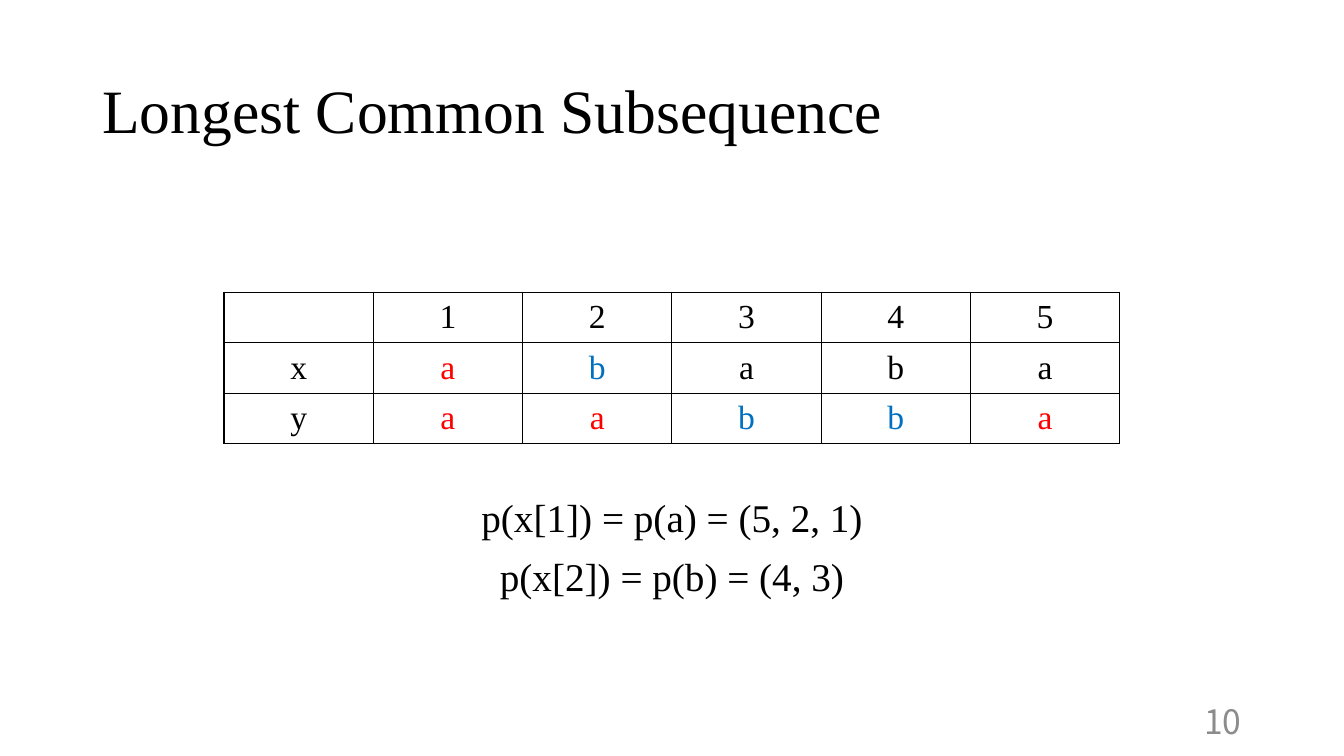
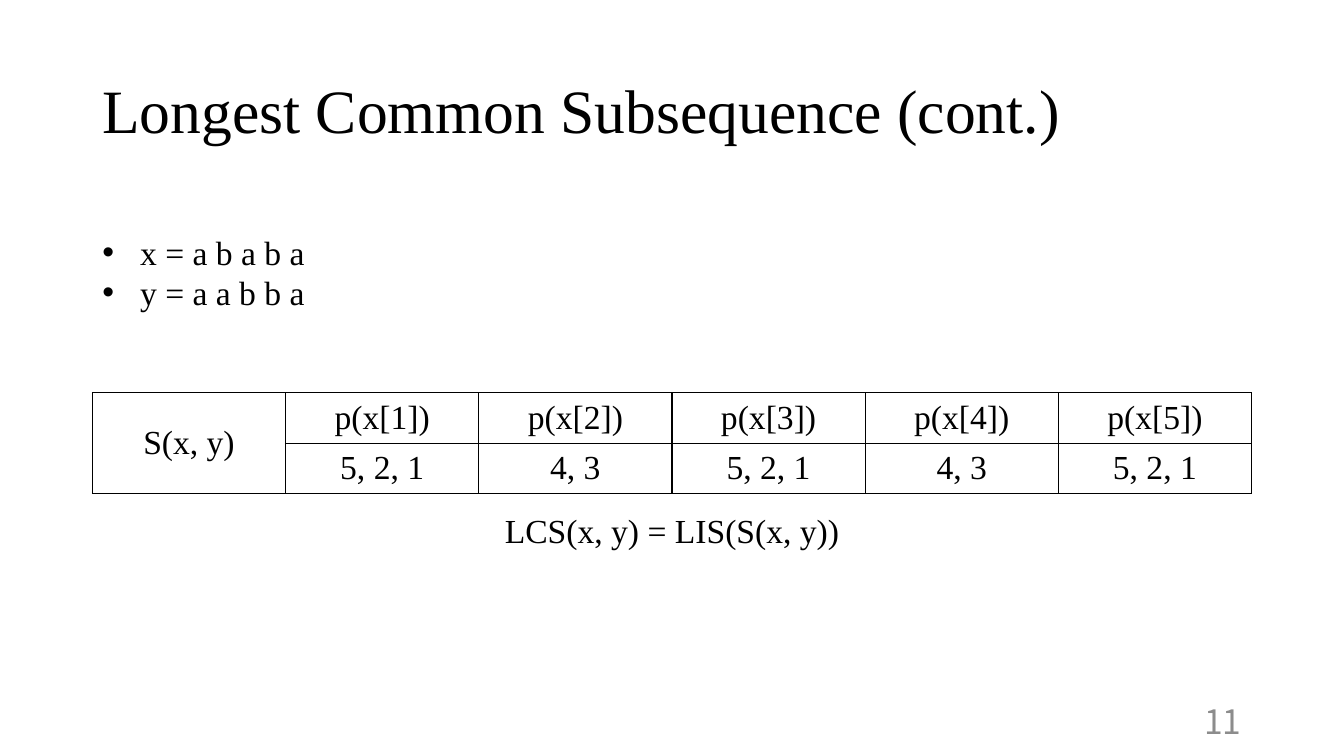
"""Build two slides on the longest common subsequence."""
from dataclasses import dataclass, field

import lxml.etree
import pptx
import pptx.dml.color
import pptx.enum.text
import pptx.oxml.ns
import pptx.slide
import pptx.table
import pptx.text.text
import pptx.util

SERIF = "Times New Roman"
SANS = "Noto Sans CJK JP"
BLACK, GREY, RED, BLUE = "000000", "8C8C8C", "FF0000", "0070C0"
MARGIN, CONTENT_WIDTH = 66, 828
ROW_HEIGHT = 33.8
CENTER = pptx.enum.text.PP_ALIGN.CENTER
LEFT = pptx.enum.text.PP_ALIGN.LEFT
RIGHT = pptx.enum.text.PP_ALIGN.RIGHT
MIDDLE = pptx.enum.text.MSO_ANCHOR.MIDDLE
TOP = pptx.enum.text.MSO_ANCHOR.TOP


@dataclass(frozen=True)
class Box:
    left: float
    top: float
    width: float
    height: float

    def lengths(self) -> list[pptx.util.Length]:
        return [pptx.util.Pt(value) for value in (self.left, self.top, self.width, self.height)]


@dataclass(frozen=True)
class Grid:
    left: float
    top: float
    width: float
    rows: list[list[str]]
    colors: dict[tuple[int, int], str] = field(default_factory=dict)


TITLE = Box(MARGIN, 28.75, CONTENT_WIDTH, 104.4)
NUMBER = Box(678, 500.5, 216, 28.75)


def color(value: str) -> pptx.dml.color.RGBColor:
    return pptx.dml.color.RGBColor.from_string(value)


def add_bullet(paragraph: pptx.text.text._Paragraph, indent: float) -> None:
    properties = paragraph._p.get_or_add_pPr()
    properties.set("marL", str(pptx.util.Pt(indent)))
    properties.set("indent", str(-pptx.util.Pt(indent)))
    font = lxml.etree.SubElement(properties, pptx.oxml.ns.qn("a:buFont"))
    font.set("typeface", "Arial")
    bullet = lxml.etree.SubElement(properties, pptx.oxml.ns.qn("a:buChar"))
    bullet.set("char", "•")


def write_text(frame: pptx.text.text.TextFrame, text: str, *, size: float = 24,
               font: str = SERIF, fill: str = BLACK,
               align: pptx.enum.text.PP_ALIGN = CENTER, line_spacing: float = 1.0,
               space_before: float = 0, bullet_indent: float = 0) -> None:
    for index, line in enumerate(text.split("\n")):
        paragraph = frame.add_paragraph() if index else frame.paragraphs[0]
        paragraph.alignment = align
        paragraph.line_spacing = line_spacing
        if index:
            paragraph.space_before = pptx.util.Pt(space_before)
        if bullet_indent:
            add_bullet(paragraph, bullet_indent)
        run = paragraph.add_run()
        run.text = line
        run.font.name = font
        run.font.size = pptx.util.Pt(size)
        run.font.color.rgb = color(fill)


def add_text(slide: pptx.slide.Slide, box: Box, text: str, *,
             anchor: pptx.enum.text.MSO_ANCHOR = TOP, **text_format) -> None:
    frame = slide.shapes.add_textbox(*box.lengths()).text_frame
    frame.word_wrap = True
    frame.vertical_anchor = anchor
    write_text(frame, text, **text_format)


def add_borders(cell: pptx.table._Cell) -> None:
    properties = cell._tc.get_or_add_tcPr()
    for position, side in enumerate(("lnL", "lnR", "lnT", "lnB")):
        line = lxml.etree.Element(pptx.oxml.ns.qn(f"a:{side}"), w=str(pptx.util.Pt(1)))
        fill = lxml.etree.SubElement(line, pptx.oxml.ns.qn("a:solidFill"))
        lxml.etree.SubElement(fill, pptx.oxml.ns.qn("a:srgbClr"), val=BLACK)
        properties.insert(position, line)


def add_grid(slide: pptx.slide.Slide, grid: Grid) -> pptx.table.Table:
    row_count, column_count = len(grid.rows), len(grid.rows[0])
    box = Box(grid.left, grid.top, grid.width, row_count * ROW_HEIGHT)
    table = slide.shapes.add_table(row_count, column_count, *box.lengths()).table
    table.first_row = table.horz_banding = False
    for column in table.columns:
        column.width = pptx.util.Pt(grid.width / column_count)
    for row_index, row in enumerate(grid.rows):
        for column_index, text in enumerate(row):
            cell = table.cell(row_index, column_index)
            cell.fill.background()
            cell.vertical_anchor = MIDDLE
            add_borders(cell)
            if text:
                fill = grid.colors.get((row_index, column_index), BLACK)
                write_text(cell.text_frame, text, fill=fill)
    return table


def add_slide(presentation: pptx.presentation.Presentation, title: str,
              number: int) -> pptx.slide.Slide:
    slide = presentation.slides.add_slide(presentation.slide_layouts[6])
    add_text(slide, TITLE, title, anchor=MIDDLE, size=44, align=LEFT, line_spacing=0.9)
    add_text(slide, NUMBER, str(number), anchor=MIDDLE, font=SANS, fill=GREY, align=RIGHT)
    return slide


def build_positions(presentation: pptx.presentation.Presentation) -> None:
    slide = add_slide(presentation, "Longest Common Subsequence", 10)
    add_grid(slide, Grid(
        160, 208.8, 640,
        [["", *"12345"], ["x", *"ababa"], ["y", *"aabba"]],
        {(1, 1): RED, (1, 2): BLUE, (2, 1): RED, (2, 2): RED,
         (2, 3): BLUE, (2, 4): BLUE, (2, 5): RED},
    ))
    add_text(slide, Box(MARGIN, 352.4, CONTENT_WIDTH, 80),
             "p(x[1]) = p(a) = (5, 2, 1)\np(x[2]) = p(b) = (4, 3)",
             size=28, line_spacing=0.9, space_before=12)


def build_sequence(presentation: pptx.presentation.Presentation) -> None:
    slide = add_slide(presentation, "Longest Common Subsequence (cont.)", 11)
    positions = {"a": "5, 2, 1", "b": "4, 3"}
    table = add_grid(slide, Grid(
        MARGIN, 280.5, CONTENT_WIDTH,
        [["S(x, y)", *(f"p(x[{index}])" for index in range(1, 6))],
         ["", *(positions[letter] for letter in "ababa")]],
    ))
    table.cell(0, 0).merge(table.cell(1, 0))
    add_text(slide, Box(328.5, 361, 303, 36), "LCS(x, y) = LIS(S(x, y))")
    add_text(slide, Box(MARGIN, 162, 191, 65.5), "x = a b a b a\ny = a a b b a",
             align=LEFT, bullet_indent=27)


def main() -> None:
    presentation = pptx.Presentation()
    presentation.slide_width = pptx.util.Pt(960)
    presentation.slide_height = pptx.util.Pt(540)
    build_positions(presentation)
    build_sequence(presentation)
    presentation.save("out.pptx")


if __name__ == "__main__":
    main()
